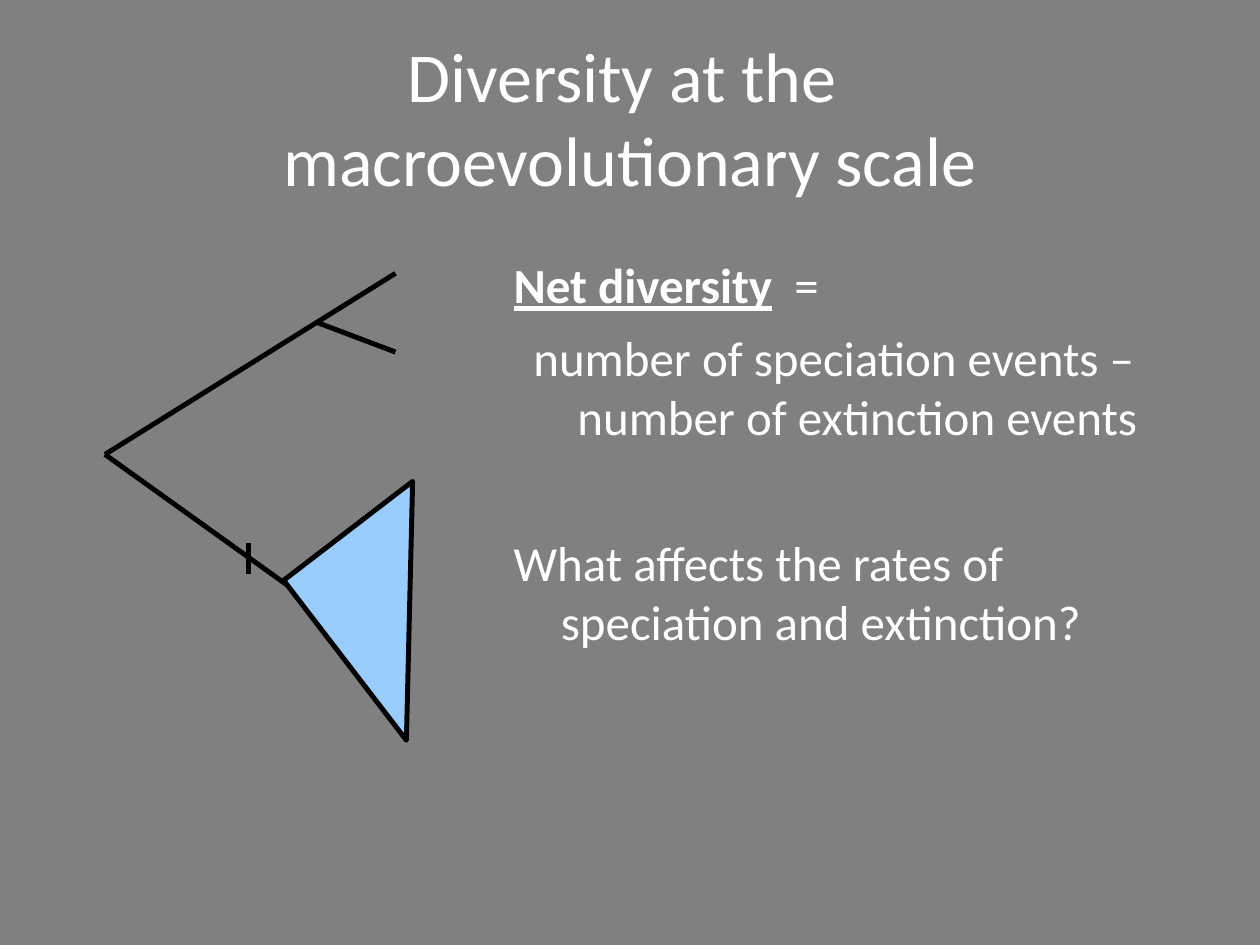
from dataclasses import dataclass

from lxml.etree import SubElement
from pptx import Presentation
from pptx.dml.color import RGBColor
from pptx.enum.shapes import MSO_CONNECTOR, MSO_SHAPE
from pptx.enum.text import MSO_ANCHOR, PP_ALIGN
from pptx.oxml.ns import qn
from pptx.util import Pt


@dataclass(frozen=True)
class Theme:
    font: str = "Calibri"
    background: RGBColor = RGBColor(0x80, 0x80, 0x80)
    text: RGBColor = RGBColor(0xFF, 0xFF, 0xFF)
    line: RGBColor = RGBColor(0, 0, 0)
    clade: RGBColor = RGBColor(0x99, 0xCC, 0xFF)
    title_size: float = 40
    body_size: float = 28
    line_width: float = 2.83


THEME = Theme()


def add_text(page, box, paragraphs, size, anchor=MSO_ANCHOR.TOP, hanging=0):
    """Each paragraph is (runs, alignment, space before); a run is (text, bold, underline)."""
    frame = page.shapes.add_textbox(*map(Pt, box)).text_frame
    frame.word_wrap = True
    frame.vertical_anchor = anchor
    for index, (runs, alignment, space) in enumerate(paragraphs):
        para = frame.paragraphs[0] if index == 0 else frame.add_paragraph()
        para.alignment = alignment
        para.space_before = Pt(space)
        if hanging:
            properties = para._p.get_or_add_pPr()
            properties.set("marL", str(Pt(hanging)))
            properties.set("indent", str(Pt(-hanging)))
        for text, bold, underline in runs:
            span = para.add_run()
            span.text = text
            font = span.font
            font.name, font.size = THEME.font, Pt(size)
            font.bold, font.underline = bold, underline
            font.color.rgb = THEME.text


def style_line(line):
    line.color.rgb = THEME.line
    line.width = Pt(THEME.line_width)


def add_branch(page, start, end):
    branch = page.shapes.add_connector(MSO_CONNECTOR.STRAIGHT, *map(Pt, start + end))
    style_line(branch.line)
    SubElement(branch._element.spPr, qn("a:effectLst"))


def add_title(page, box):
    lines = ("Diversity at the ", "macroevolutionary scale")
    paragraphs = [([(text, False, False)], PP_ALIGN.CENTER, 0) for text in lines]
    add_text(page, box, paragraphs, THEME.title_size, anchor=MSO_ANCHOR.MIDDLE)


def add_definition(page, box):
    heading = [("Net diversity", True, True), ("  ", True, False), ("=", False, False)]
    formula = [("number of speciation events – number of extinction events", False, False)]
    question = [("What affects the rates of speciation and extinction?", False, False)]
    paragraphs = [
        (heading, PP_ALIGN.LEFT, 0),
        (formula, PP_ALIGN.CENTER, 8),
        (question, PP_ALIGN.LEFT, 50),
    ]
    add_text(page, box, paragraphs, THEME.body_size, hanging=27)


def add_tree(page, box):
    left, top, width, height = box

    def at(x, y):
        return left + x, top + y

    # Branches from the root, and the side branch near the upper tip
    root, tip = at(0, 103.5), 166
    add_branch(page, root, at(tip, 222.5))
    add_branch(page, root, at(tip, 0))
    add_branch(page, at(121, 28), at(tip, 45))

    # Species-rich clade
    clade_width, clade_height = 115.2, 92.9
    clade = page.shapes.add_shape(
        MSO_SHAPE.RIGHT_TRIANGLE,
        *map(Pt, at(width - clade_width, 146.4) + (clade_width, clade_height)),
    )
    clade.rotation = 52.5
    clade.shadow.inherit = False
    clade.fill.solid()
    clade.fill.fore_color.rgb = THEME.clade
    style_line(clade.line)

    # Tick on the lower branch
    add_branch(page, at(82, 154.3), at(82, 171.6))


def main():
    deck = Presentation()
    deck.slide_width, deck.slide_height = Pt(720), Pt(540)
    page = deck.slides.add_slide(deck.slide_layouts[6])
    page.background.fill.solid()
    page.background.fill.fore_color.rgb = THEME.background

    add_definition(page, (286.4, 142, 380, 356))
    add_title(page, (36, 15, 648, 103))
    add_tree(page, (60, 156.2, 231.6, 267))
    deck.save("out.pptx")


if __name__ == "__main__":
    main()
